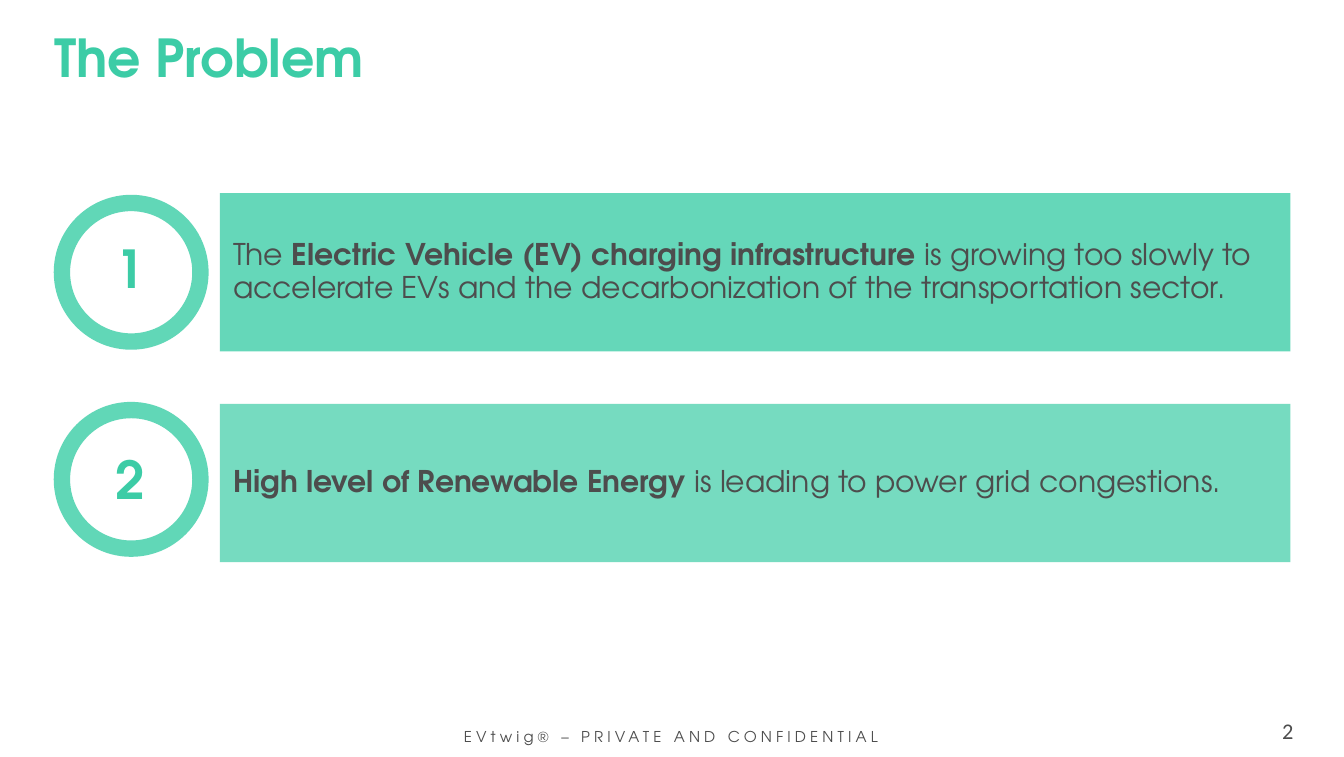
from dataclasses import dataclass

from lxml import etree
from pptx import Presentation
from pptx.dml.color import RGBColor
from pptx.enum import shapes, text
from pptx.oxml import ns
from pptx.util import Pt

FONT = "TeX Gyre Adventor"
HUES = {"mint": "3CCCA6", "teal": "3ACDA6", "grey": "4D4D4D"}
LEFT, MID = text.PP_ALIGN.LEFT, text.PP_ALIGN.CENTER
HEAD = {"size": Pt(28), "bold": True}


@dataclass
class Item:
    mark: str
    runs: list[tuple[str, bool]]
    bar: float
    ring: float
    label: float
    hue: str
    alpha: int


ITEMS = [
    Item("1", [("The", False),
               (" Electric Vehicle (EV) charging infrastructure ", True),
               ("is growing too slowly to accelerate EVs and the "
                "decarbonization of the transportation sector.", False)],
         103.5, 108.7, 126.9, "teal", 78),
    Item("2", [("High level of Renewable Energy ", True),
               ("is leading to power grid congestions.", False)],
         216.3, 219.6, 239.9, "mint", 70),
]


def tint(fill, hue: str, alpha: int) -> None:
    """Fill with a partly transparent colour."""
    fill.solid()
    fill.fore_color.rgb = RGBColor.from_string(HUES[hue])
    clr = fill._xPr.find(".//" + ns.qn("a:srgbClr"))
    etree.SubElement(clr, ns.qn("a:alpha")).set("val", str(alpha * 1000))


def write(para, words: str, hue: str, form: dict):
    run = para.add_run()
    run.text = words
    run.font.color.rgb = RGBColor.from_string(HUES[hue])
    for key, val in ({"name": FONT} | form).items():
        setattr(run.font, key, val)
    return run


def setup(shape, form: dict):
    """Format the text frame and hand back its first paragraph."""
    for key, val in form.items():
        setattr(shape.text_frame, key, val)
    return shape.text_frame.paragraphs[0]


def label(slide, box: tuple, words: str, hue: str, form: dict,
          align=LEFT, space: float = 1.0, frame: dict | None = None):
    shape = slide.shapes.add_textbox(*map(Pt, box))
    para = setup(shape, {"word_wrap": True} | (frame or {}))
    para.alignment, para.line_spacing = align, space
    return write(para, words, hue, form)


def draw_bar(slide, item: Item) -> None:
    bar = slide.shapes.add_shape(shapes.MSO_SHAPE.RECTANGLE,
                                 Pt(117.8), Pt(item.bar), Pt(573.5), Pt(84.7))
    bar.shadow.inherit = False
    bar.line.fill.background()
    tint(bar.fill, item.hue, item.alpha)
    para = setup(bar, {"word_wrap": True,
                       "vertical_anchor": text.MSO_ANCHOR.MIDDLE})
    for key, val in {"alignment": LEFT, "line_spacing": 0.9,
                     "space_before": Pt(2), "space_after": Pt(2)}.items():
        setattr(para, key, val)
    for words, bold in item.runs:
        write(para, words, "grey", {"size": Pt(16), "bold": bold})


def draw_ring(slide, item: Item) -> None:
    ring = slide.shapes.add_shape(shapes.MSO_SHAPE.OVAL,
                                  Pt(33.2), Pt(item.ring), Pt(74.2), Pt(74.2))
    ring.shadow.inherit = False
    ring.fill.background()
    ring.line.width = Pt(8.75)
    tint(ring.line.fill, "teal", 80)


def main() -> None:
    deck = Presentation()
    deck.slide_width, deck.slide_height = Pt(720), Pt(405.36)
    slide = deck.slides.add_slide(deck.slide_layouts[5])

    # Title
    title = slide.shapes.title
    for key, val in {"left": 22, "top": 13.7,
                     "width": 617, "height": 38.2}.items():
        setattr(title, key, Pt(val))
    para = setup(title, {"word_wrap": True, "auto_size": text.MSO_AUTO_SIZE.NONE,
                         "vertical_anchor": text.MSO_ANCHOR.TOP})
    para.alignment, para.line_spacing = LEFT, 0.9
    write(para, "The Problem", "mint", HEAD)

    # Numbered problems
    for item in ITEMS:
        draw_bar(slide, item)
        draw_ring(slide, item)
        label(slide, (54.7, item.label, 31, 38.2), item.mark, "mint", HEAD,
              space=0.9)

    # Footer and page number
    foot = label(slide, (192.2, 386.3, 334.8, 17),
                 "EVtwig® – PRIVATE AND CONFIDENTIAL", "grey",
                 {"size": Pt(8)}, MID)
    foot.font._element.set("spc", "220")
    bare = {f"margin_{side}": 0 for side in ("left", "top", "right", "bottom")}
    label(slide, (686.9, 384, 14.4, 14.4), "2", "grey",
          {"size": Pt(12), "name": "Calibri"}, frame=bare | {"word_wrap": False})

    deck.save("out.pptx")


if __name__ == "__main__":
    main()
